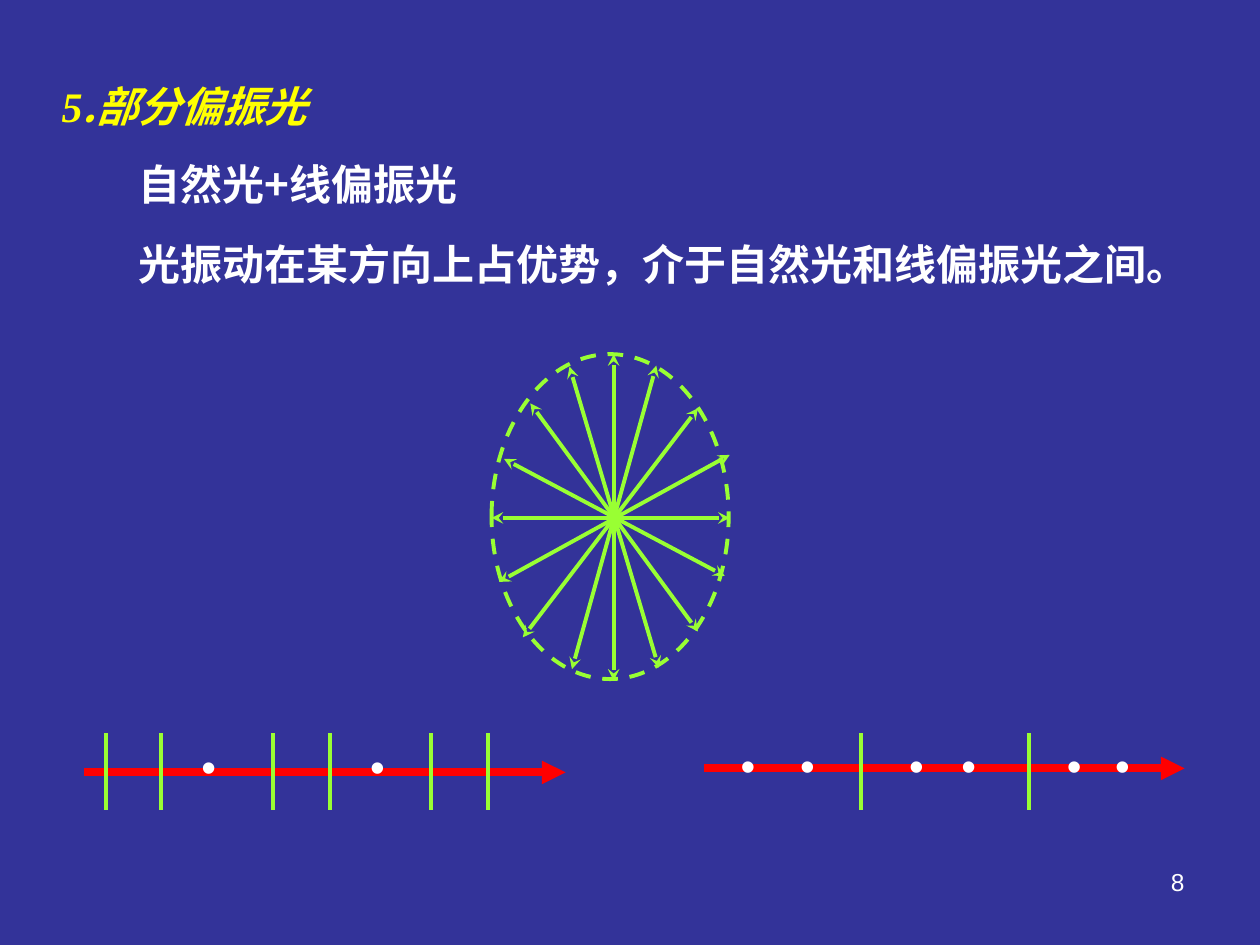
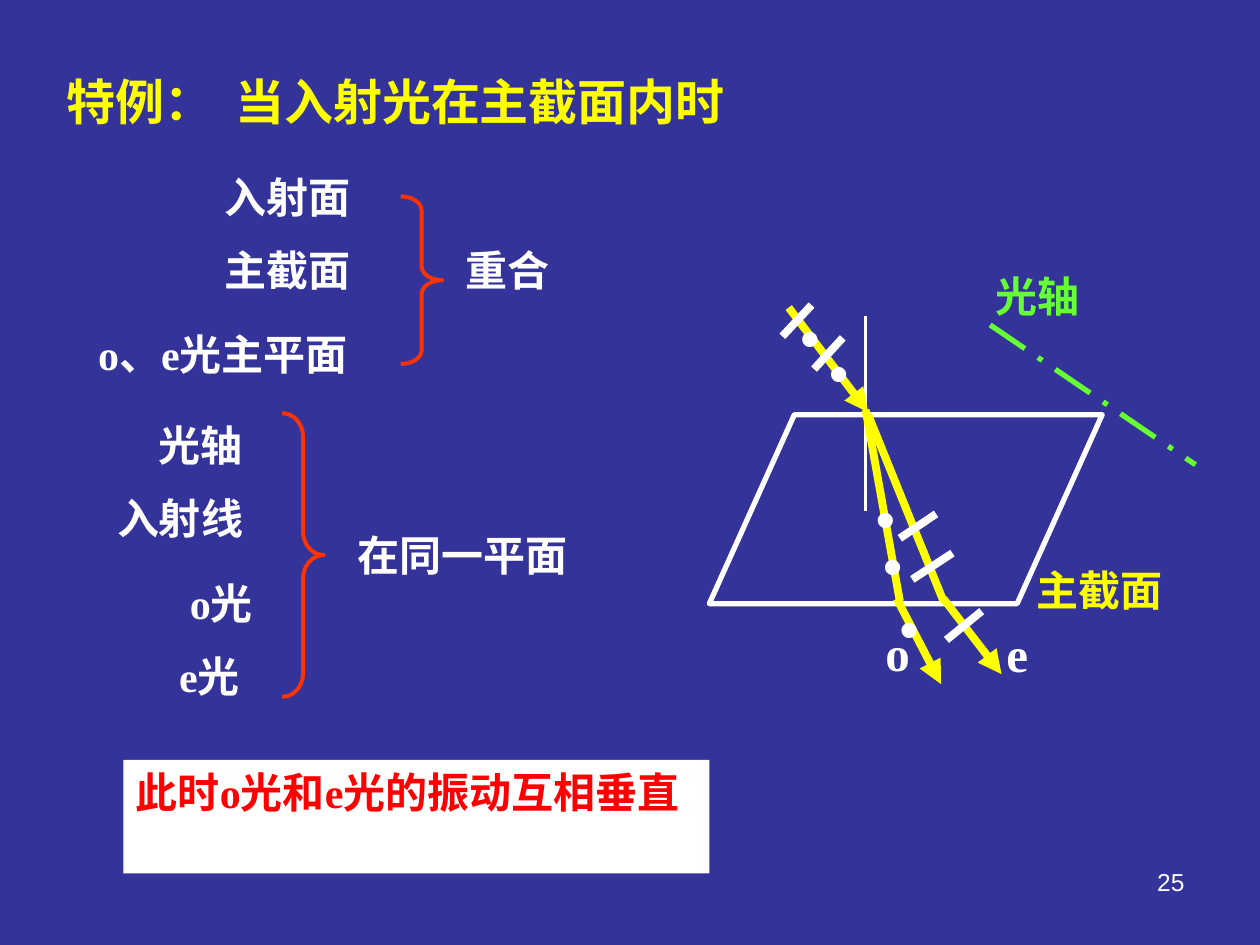
"""Builds two slides on partially polarised light and birefringence."""
from lxml.etree import SubElement
from pptx import Presentation
from pptx.dml.color import RGBColor
from pptx.enum.dml import MSO_LINE
from pptx.enum.shapes import MSO_CONNECTOR, MSO_SHAPE
from pptx.enum.text import MSO_ANCHOR, MSO_AUTO_SIZE, PP_ALIGN
from pptx.oxml.ns import qn
from pptx.util import Cm, Pt

STRAIGHT = MSO_CONNECTOR.STRAIGHT
DASH, LONG_DASH_DOT = MSO_LINE.DASH, MSO_LINE.LONG_DASH_DOT
LEFT, RIGHT = PP_ALIGN.LEFT, PP_ALIGN.RIGHT
TOP, NO_AUTOFIT = MSO_ANCHOR.TOP, MSO_AUTO_SIZE.NONE

HEITI, TIMES, ARIAL = "Noto Sans CJK SC", "Times New Roman", "Arial"
NAVY, WHITE, YELLOW, RED = "333399", "FFFFFF", "FFFF00", "FF0000"
LIME, AXIS_GREEN, BRACE_RED = "99FF33", "66FF33", "FF3300"
colour = RGBColor.from_string


def write_text(shape, text, size=24, font=HEITI, color=WHITE, bold=True,
               italic=False, align=LEFT, spacing=1.0, before=0):
    """Append a formatted run to the last paragraph of a shape."""
    frame = shape.text_frame
    frame.word_wrap, frame.auto_size, frame.vertical_anchor = True, NO_AUTOFIT, TOP
    paragraph = frame.paragraphs[-1]
    paragraph.alignment, paragraph.line_spacing = align, spacing
    paragraph.space_before = Pt(before)
    run = paragraph.add_run()
    run.text = text
    run.font.size, run.font.name = Pt(size), font
    run.font.bold, run.font.italic = bold, italic
    run.font.color.rgb = colour(color)
    SubElement(run.font._element, qn("a:ea"), typeface=HEITI)


def style_line(shape, color, width, dash=None, head=None, tail=None):
    """Format the outline of a shape or connector and drop its shadow."""
    shape.line.color.rgb = colour(color)
    shape.line.width = Pt(width)
    if dash:
        shape.line.dash_style = dash
    properties = shape._element.spPr
    outline = properties.find(qn("a:ln"))
    for end, arrow in (("a:headEnd", head), ("a:tailEnd", tail)):
        if arrow:
            SubElement(outline, qn(end), type=arrow)
    SubElement(properties, qn("a:effectLst"))


presentation = Presentation()
presentation.slide_width, presentation.slide_height = Cm(25.4), Cm(19.05)
background = presentation.slide_master.background.fill
background.solid()
background.fore_color.rgb = colour(NAVY)

slides = []
for layout, number, title_box in ((1, "8", (0.99, 1.19, 7.82, 1.57)),
                                  (5, "25", (1.09, 1.32, 15.27, 1.45))):
    slide = presentation.slides.add_slide(presentation.slide_layouts[layout])
    title = slide.shapes.title
    title.left, title.top, title.width, title.height = map(Cm, title_box)
    page_number = slide.shapes.add_textbox(Cm(18.21), Cm(17.35), Cm(5.92), Cm(1.32))
    write_text(page_number, number, size=14, font=ARIAL, bold=False, align=RIGHT)
    slides.append(slide)
polarised_slide, section_slide = slides

shapes = polarised_slide.shapes
write_text(shapes.title, "5", font=TIMES, color=YELLOW, italic=True, spacing=1.3)
write_text(shapes.title, ".部分偏振光", color=YELLOW, italic=True, spacing=1.3)

body = polarised_slide.placeholders[1]
body.left, body.top, body.width, body.height = map(Cm, (2.54, 2.77, 22.35, 3.5))
write_text(body, "自然光+线偏振光", spacing=1.3)
body.text_frame.add_paragraph()
write_text(body, "光振动在某方向上占优势，介于自然光和线偏振光之间。", spacing=1.3, before=8)
for paragraph in body.text_frame.paragraphs:
    paragraph_properties = paragraph._p.get_or_add_pPr()
    paragraph_properties.set("marL", "0")
    paragraph_properties.set("indent", "0")
    SubElement(paragraph_properties, qn("a:buNone"))

RAYS = (
    (14.2, 23.88, 15.49, 14.78, (14.68, 15.88, 18.08, 19.13, 21.26, 22.23),
     (17.35, 20.75)),
    (1.7, 11.4, 15.57, 14.81, (3.81, 7.21), (2.13, 3.25, 5.51, 6.65, 8.69, 9.83)),
)
for start, end, height, dot_top, dots, bars in RAYS:
    ray = shapes.add_connector(STRAIGHT, Cm(start), Cm(height), Cm(end), Cm(height))
    style_line(ray, RED, 4.5, tail="triangle")
    for left in dots:
        dot = shapes.add_textbox(Cm(left), Cm(dot_top), Cm(0.99), Cm(1.27))
        write_text(dot, "•", font=ARIAL, bold=False)
    for left in bars:
        bar = shapes.add_connector(STRAIGHT, Cm(left), Cm(14.78), Cm(left), Cm(16.33))
        style_line(bar, LIME, 2.25)

ellipse = shapes.add_shape(MSO_SHAPE.OVAL, Cm(9.91), Cm(7.14), Cm(4.78), Cm(6.55))
ellipse.fill.background()
style_line(ellipse, LIME, 2.25, dash=DASH)
VIBRATIONS = (
    (9.91, 10.44, 14.71, 10.44), (12.37, 7.14, 12.37, 13.72),
    (14.07, 8.23, 10.54, 12.85), (10.69, 8.13, 14.07, 12.73),
    (11.48, 7.39, 13.28, 13.46), (13.23, 7.37, 11.53, 13.49),
    (14.61, 11.61, 10.16, 9.25), (10.06, 11.73, 14.71, 9.17),
)
for ends in VIBRATIONS:
    vibration = shapes.add_connector(STRAIGHT, *map(Cm, ends))
    style_line(vibration, LIME, 2.25, head="stealth", tail="stealth")

shapes = section_slide.shapes
title_properties = shapes.title.text_frame.paragraphs[0]._p.get_or_add_pPr()
tab_list = SubElement(title_properties, qn("a:tabLst"))
SubElement(tab_list, qn("a:tab"), pos=str(Cm(3.4)), algn="l")
write_text(shapes.title, "特例：\t当入射光在主截面内时", size=28, color=YELLOW)

LABELS = (
    ("入射面", 4.27, 3.33, 4.24, {"font": TIMES}),
    ("主截面", 4.27, 4.8, 3.81, {}),
    ("o、e光主平面", 1.73, 6.5, 7.8, {"font": TIMES}),
    ("重合", 9.14, 4.8, 2.97, {}),
    ("光轴", 2.95, 8.33, 3.6, {}),
    ("入射线", 2.11, 9.8, 4.01, {}),
    ("o光", 3.58, 11.51, 2.97, {"font": TIMES}),
    ("e光", 3.36, 12.98, 2.74, {"font": TIMES}),
    ("在同一平面", 6.96, 10.24, 5.92, {"spacing": 1.3}),
    ("光轴", 19.81, 5.33, 2.6, {"font": TIMES, "color": AXIS_GREEN}),
    ("主截面", 20.65, 11.25, 3.4, {"font": TIMES, "color": YELLOW}),
    ("o", 17.6, 12.42, 1.47, {"font": TIMES, "size": 28}),
    ("e", 20.04, 12.45, 1.47, {"font": TIMES, "size": 28}),
)
for text, left, top, width, text_format in LABELS:
    label = shapes.add_textbox(Cm(left), Cm(top), Cm(width), Cm(1.27))
    write_text(label, text, **text_format)

for left, top, height, curve in ((8.08, 3.96, 3.38, 0.33), (5.69, 8.33, 5.72, 0.57)):
    brace = shapes.add_shape(MSO_SHAPE.RIGHT_BRACE, Cm(left), Cm(top), Cm(0.84), Cm(height))
    brace.adjustments[0] = curve
    brace.fill.background()
    style_line(brace, BRACE_RED, 2.25)

conclusion = shapes.add_shape(MSO_SHAPE.RECTANGLE, Cm(2.49), Cm(15.32), Cm(11.81), Cm(2.29))
conclusion.shadow.inherit = False
conclusion.fill.solid()
conclusion.fill.fore_color.rgb = colour(WHITE)
conclusion.line.fill.background()
write_text(conclusion, "此时o光和e光的振动互相垂直", font=TIMES, color=RED)

crystal = shapes.add_shape(MSO_SHAPE.PARALLELOGRAM, Cm(14.3), Cm(8.36), Cm(7.92), Cm(3.81))
crystal.adjustments[0] = 0.45
crystal.fill.background()
style_line(crystal, WHITE, 3)

OPTICAL_LINES = (
    ((17.45, 6.38, 17.45, 10.31), WHITE, 1.5, None, None),
    ((19.96, 6.55, 24.1, 9.37), AXIS_GREEN, 3, LONG_DASH_DOT, None),
    ((15.9, 6.2, 17.5, 8.31), YELLOW, 4.5, None, "triangle"),
    ((17.45, 8.26, 18.14, 12.12), YELLOW, 4.5, None, None),
    ((17.5, 8.36, 19.02, 12.12), YELLOW, 4.5, None, None),
    ((19.02, 12.07, 20.19, 13.59), YELLOW, 4.5, None, "triangle"),
    ((18.08, 12.07, 18.97, 13.79), YELLOW, 4.5, None, "triangle"),
    ((15.77, 6.78, 16.36, 6.15), WHITE, 4.5, None, None),
    ((16.41, 7.44, 16.99, 6.81), WHITE, 4.5, None, None),
    ((18.14, 10.85, 18.87, 10.36), WHITE, 4.5, None, None),
    ((18.39, 11.68, 19.2, 11.15), WHITE, 4.5, None, None),
    ((19.08, 12.9, 19.79, 12.32), WHITE, 4.5, None, None),
)
for ends, color, width, dash, tail in OPTICAL_LINES:
    optical_line = shapes.add_connector(STRAIGHT, *map(Cm, ends))
    style_line(optical_line, color, width, dash=dash, tail=tail)

for left, top in ((15.88, 5.97), (16.46, 6.68), (17.4, 9.63), (17.55, 10.57), (17.88, 11.84)):
    dot = shapes.add_textbox(Cm(left), Cm(top), Cm(1.42), Cm(1.63))
    write_text(dot, "•", size=32, font=ARIAL, bold=False)

presentation.save("out.pptx")
